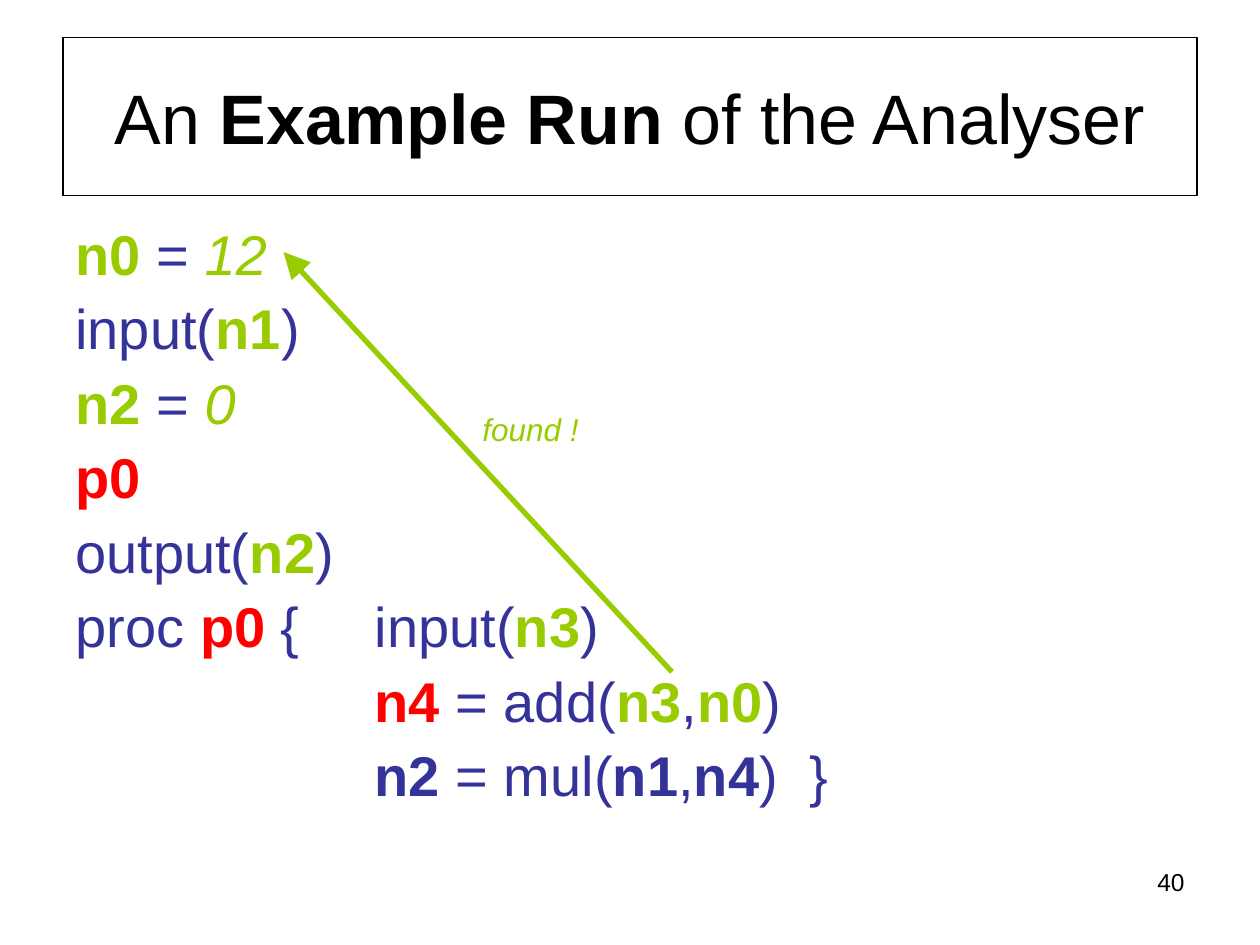
from pptx import Presentation
from pptx.dml.color import RGBColor
from pptx.enum import shapes, text
from pptx.util import Pt
from lxml import etree

NS = "http://schemas.openxmlformats.org/drawingml/2006/main"
BLACK, BLUE, GREEN, RED = "000000", "333399", "99CC00", "FF0000"

# Run styles: colour, bold, italic
CODE = (BLUE, False, False)
NAME = (BLUE, True, False)
SEEN = (GREEN, True, False)
NEW = (RED, True, False)
VALUE = (GREEN, False, True)
PLAIN = (BLACK, False, False)
STRONG = (BLACK, True, False)

HANG, STEP = 27, 72

# Each program line: left indent, first-line indent, runs
LINES = [
    (HANG, -HANG, [("n0", SEEN), (" = ", CODE), ("12", VALUE)]),
    (HANG, -HANG, [("input(", CODE), ("n1", SEEN), (")", CODE)]),
    (HANG, -HANG, [("n2", SEEN), (" = ", CODE), ("0", VALUE)]),
    (HANG, -HANG, [("p0", NEW)]),
    (HANG, -HANG, [("output(", CODE), ("n2", SEEN), (")", CODE)]),
    (HANG, -HANG, [("proc ", CODE), ("p0", NEW), (" {\tinput(", CODE),
                   ("n3", SEEN), (")", CODE)]),
    (HANG + 2 * STEP, 0, [("n4", NEW), (" = add(", CODE), ("n3", SEEN),
                          (",", CODE), ("n0", SEEN), (")", CODE)]),
    (HANG + 2 * STEP, 0, [("n2", NAME), (" = mul(", CODE), ("n1", NAME),
                          (",", CODE), ("n4", NAME), (")  }", CODE)]),
]


def tint(code):
    return RGBColor.from_string(code)


def add_runs(para, runs, size):
    for words, (code, bold, slant) in runs:
        run = para.add_run()
        run.text = words
        font = run.font
        font.name, font.size = "Arial", Pt(size)
        font.bold, font.italic = bold, slant
        font.color.rgb = tint(code)


def add_text(slide, box, wrap=True):
    frame = slide.shapes.add_textbox(*map(Pt, box)).text_frame
    frame.word_wrap = wrap
    return frame


def set_indent(para, left, first):
    props = para._p.get_or_add_pPr()
    props.set("marL", str(Pt(left)))
    props.set("indent", str(Pt(first)))
    props.set("defTabSz", str(Pt(STEP)))


def add_title(slide, box):
    shape = slide.shapes.add_shape(shapes.MSO_SHAPE.RECTANGLE, *map(Pt, box))
    shape.shadow.inherit = False
    shape.fill.background()
    shape.line.color.rgb = tint(BLACK)
    shape.line.width = Pt(0.75)
    frame = shape.text_frame
    frame.word_wrap = True
    frame.vertical_anchor = text.MSO_ANCHOR.MIDDLE
    para = frame.paragraphs[0]
    para.alignment = text.PP_ALIGN.CENTER
    add_runs(para, [("An ", PLAIN), ("Example Run", STRONG),
                    (" of the Analyser", PLAIN)], 40)


def add_code(slide, box):
    frame = add_text(slide, box)
    for i, (left, first, runs) in enumerate(LINES):
        para = frame.add_paragraph() if i else frame.paragraphs[0]
        para.line_spacing = 0.9
        para.space_before = Pt(8)
        set_indent(para, left, first)
        add_runs(para, runs, 32)


def add_arrow(slide, ends):
    arrow = slide.shapes.add_connector(
        shapes.MSO_CONNECTOR.STRAIGHT, *map(Pt, ends))
    arrow.line.color.rgb = tint(GREEN)
    arrow.line.width = Pt(3)
    etree.SubElement(arrow.line._get_or_add_ln(), f"{{{NS}}}tailEnd",
                     type="triangle", w="lg", len="lg")
    etree.SubElement(arrow._element.spPr, f"{{{NS}}}effectLst")


def add_label(slide, box):
    frame = add_text(slide, box, wrap=False)
    add_runs(frame.paragraphs[0], [("found !", VALUE)], 18)


def add_number(slide, box):
    para = add_text(slide, box).paragraphs[0]
    para.alignment = text.PP_ALIGN.RIGHT
    add_runs(para, [("40", PLAIN)], 14)


def main():
    deck = Presentation()
    deck.slide_width, deck.slide_height = Pt(720), Pt(540)
    slide = deck.slides.add_slide(deck.slide_layouts[6])
    add_title(slide, (36, 21.6, 648, 90))
    add_code(slide, (36, 126, 648, 356.4))
    # Arrow from the use of n0 back to its definition
    add_arrow(slide, (384, 384, 162, 144))
    add_label(slide, (268.6, 231, 72, 29))
    add_number(slide, (516, 492, 168, 37.5))
    deck.save("out.pptx")


if __name__ == "__main__":
    main()
